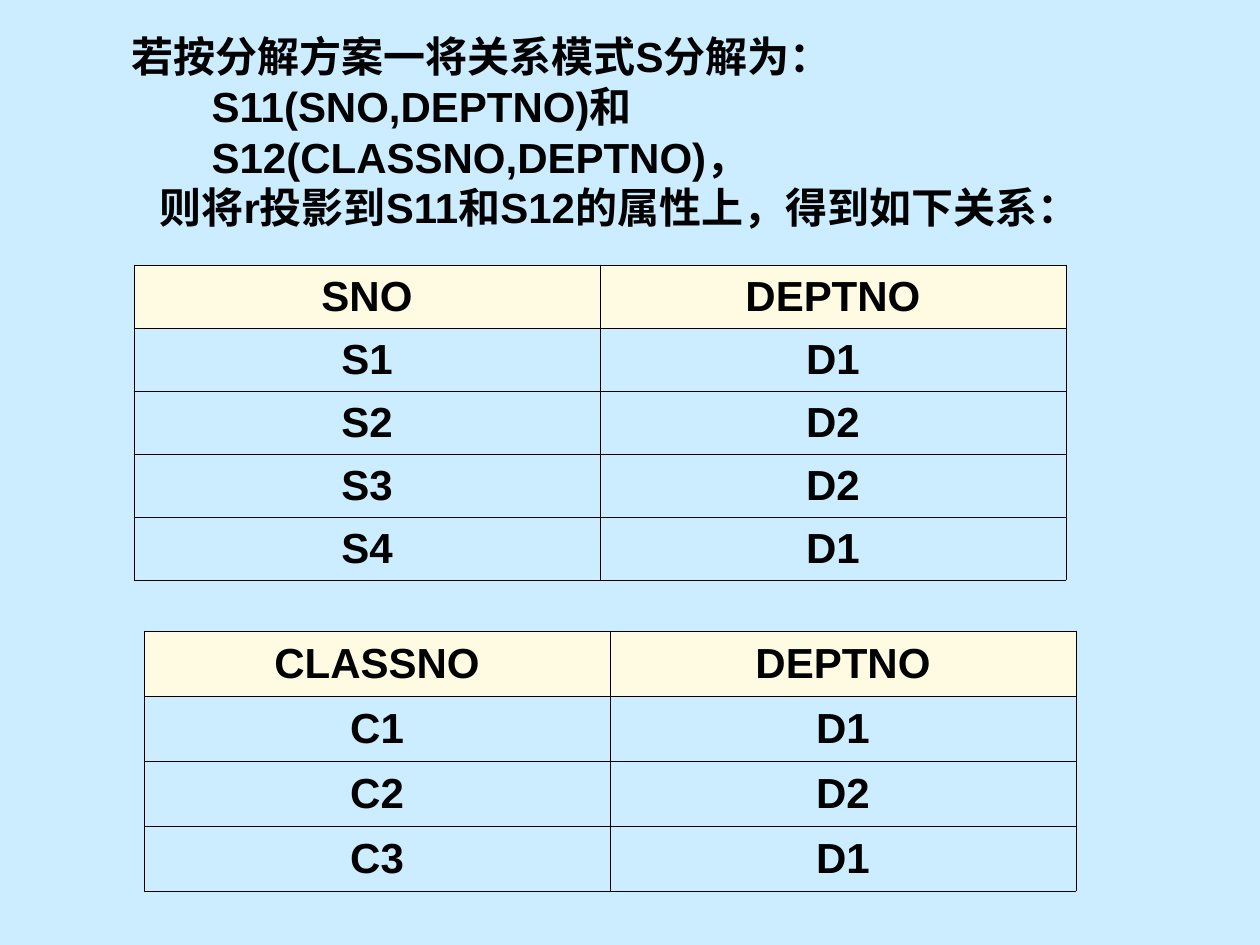
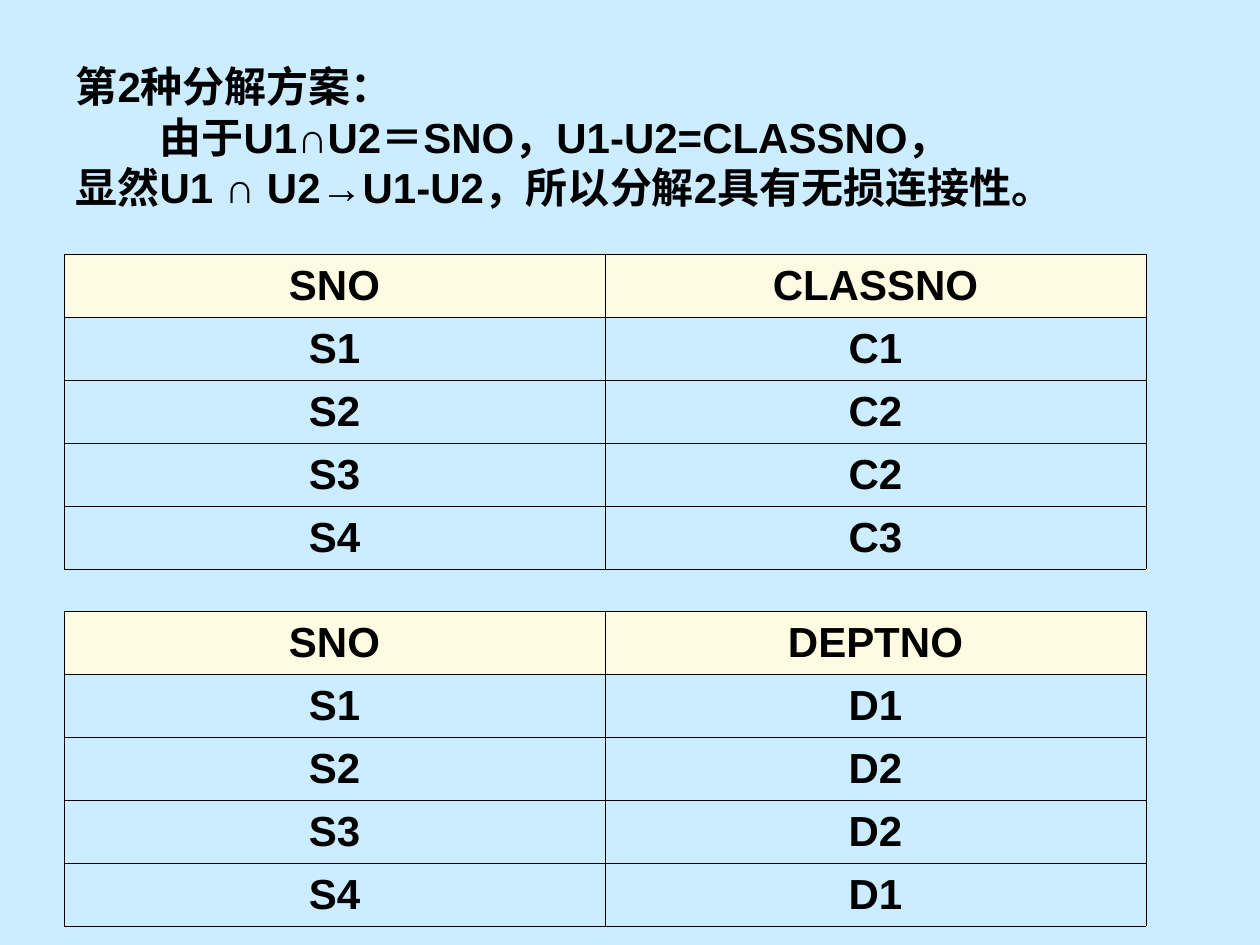
from dataclasses import dataclass
from typing import Any

from lxml.etree import SubElement
from pptx import Presentation
from pptx.dml.color import RGBColor
from pptx.enum.lang import MSO_LANGUAGE_ID
from pptx.enum.text import MSO_ANCHOR, MSO_AUTO_SIZE, PP_ALIGN
from pptx.oxml.ns import qn
from pptx.util import Emu, Pt

PIXELS_PER_INCH = 126
SKY = RGBColor(0xCC, 0xEC, 0xFF)
CREAM = RGBColor(0xFE, 0xFB, 0xE2)
BLACK = RGBColor(0x00, 0x00, 0x00)
BORDER_WIDTH = Pt(0.34)
TITLE_ONLY = 5

FONT_FORMAT = {
    "name": "Arial",
    "size": Pt(24),
    "bold": True,
    "language_id": MSO_LANGUAGE_ID.SIMPLIFIED_CHINESE,
}
TITLE_FRAME_FORMAT = {
    "auto_size": MSO_AUTO_SIZE.NONE,
    "vertical_anchor": MSO_ANCHOR.MIDDLE,
    "word_wrap": True,
}
TABLE_FORMAT = {"first_row": False, "horz_banding": False}


@dataclass(frozen=True)
class Line:
    text: str
    indent: int = 0


@dataclass(frozen=True)
class Relation:
    left: int
    top: int
    column_width: int
    row_height: int
    rows: tuple[tuple[str, str], ...]


@dataclass(frozen=True)
class Decomposition:
    title_width: int
    title_height: int
    lines: tuple[Line, ...]
    relations: tuple[Relation, ...]


STUDENT_DEPARTMENTS = (
    ("SNO", "DEPTNO"),
    ("S1", "D1"),
    ("S2", "D2"),
    ("S3", "D2"),
    ("S4", "D1"),
)
CLASS_DEPARTMENTS = (
    ("CLASSNO", "DEPTNO"),
    ("C1", "D1"),
    ("C2", "D2"),
    ("C3", "D1"),
)
STUDENT_CLASSES = (
    ("SNO", "CLASSNO"),
    ("S1", "C1"),
    ("S2", "C2"),
    ("S3", "C2"),
    ("S4", "C3"),
)

DECOMPOSITIONS = (
    Decomposition(
        title_width=1133,
        title_height=186,
        lines=(
            Line("若按分解方案一将关系模式S分解为：", 56),
            Line("S11(SNO,DEPTNO)和", 136),
            Line("S12(CLASSNO,DEPTNO)，", 136),
            Line("则将r投影到S11和S12的属性上，得到如下关系：", 84),
        ),
        relations=(
            Relation(134, 265, 466, 63, STUDENT_DEPARTMENTS),
            Relation(144, 631, 466, 65, CLASS_DEPARTMENTS),
        ),
    ),
    Decomposition(
        title_width=1153,
        title_height=197,
        lines=(
            Line("第2种分解方案："),
            Line("由于U1∩U2＝SNO，U1-U2=CLASSNO，", 84),
            Line("显然U1 ∩ U2→U1-U2，所以分解2具有无损连接性。"),
        ),
        relations=(
            Relation(64, 254, 541, 63, STUDENT_CLASSES),
            Relation(64, 611, 541, 63, STUDENT_DEPARTMENTS),
        ),
    ),
)


def px(length: int) -> Emu:
    return Emu(round(length * 914400 / PIXELS_PER_INCH))


def apply_format(target: Any, values: dict[str, Any]) -> None:
    for name, value in values.items():
        setattr(target, name, value)


def write_paragraph(paragraph: Any, text: str, alignment: PP_ALIGN) -> None:
    paragraph.alignment = alignment
    run = paragraph.add_run()
    run.text = text
    apply_format(run.font, FONT_FORMAT)
    run.font.color.rgb = BLACK


def add_title(slide: Any, decomposition: Decomposition) -> None:
    title = slide.shapes.title
    apply_format(title, {
        "left": px(63),
        "top": px(38),
        "width": px(decomposition.title_width),
        "height": px(decomposition.title_height),
    })
    frame = title.text_frame
    apply_format(frame, TITLE_FRAME_FORMAT)
    for index, line in enumerate(decomposition.lines):
        paragraph = frame.add_paragraph() if index else frame.paragraphs[0]
        properties = paragraph._p.get_or_add_pPr()
        properties.set("marL", str(px(line.indent)))
        properties.set("indent", "0")
        write_paragraph(paragraph, line.text, PP_ALIGN.LEFT)


def add_borders(cell: Any) -> None:
    """Outline all four sides; border elements must precede the cell fill."""
    properties = cell._tc.get_or_add_tcPr()
    for position, side in enumerate(("lnL", "lnR", "lnT", "lnB")):
        border = SubElement(properties, qn(f"a:{side}"), w=str(BORDER_WIDTH))
        fill = SubElement(border, qn("a:solidFill"))
        SubElement(fill, qn("a:srgbClr"), val=str(BLACK))
        properties.insert(position, border)


def add_relation(slide: Any, relation: Relation) -> None:
    row_count, column_count = len(relation.rows), len(relation.rows[0])
    table = slide.shapes.add_table(
        row_count, column_count,
        px(relation.left), px(relation.top),
        px(relation.column_width * column_count),
        px(relation.row_height * row_count),
    ).table
    apply_format(table, TABLE_FORMAT)
    for row_index, values in enumerate(relation.rows):
        for column_index, text in enumerate(values):
            cell = table.cell(row_index, column_index)
            cell.vertical_anchor = MSO_ANCHOR.MIDDLE
            write_paragraph(cell.text_frame.paragraphs[0], text, PP_ALIGN.CENTER)
            if row_index == 0:
                cell.fill.solid()
                cell.fill.fore_color.rgb = CREAM
            else:
                cell.fill.background()
            add_borders(cell)


def main() -> None:
    presentation = Presentation()
    apply_format(presentation, {"slide_width": px(1260), "slide_height": px(945)})
    background = presentation.slide_master.background.fill
    background.solid()
    background.fore_color.rgb = SKY
    for decomposition in DECOMPOSITIONS:
        slide = presentation.slides.add_slide(presentation.slide_layouts[TITLE_ONLY])
        add_title(slide, decomposition)
        for relation in decomposition.relations:
            add_relation(slide, relation)
    presentation.save("out.pptx")


if __name__ == "__main__":
    main()
